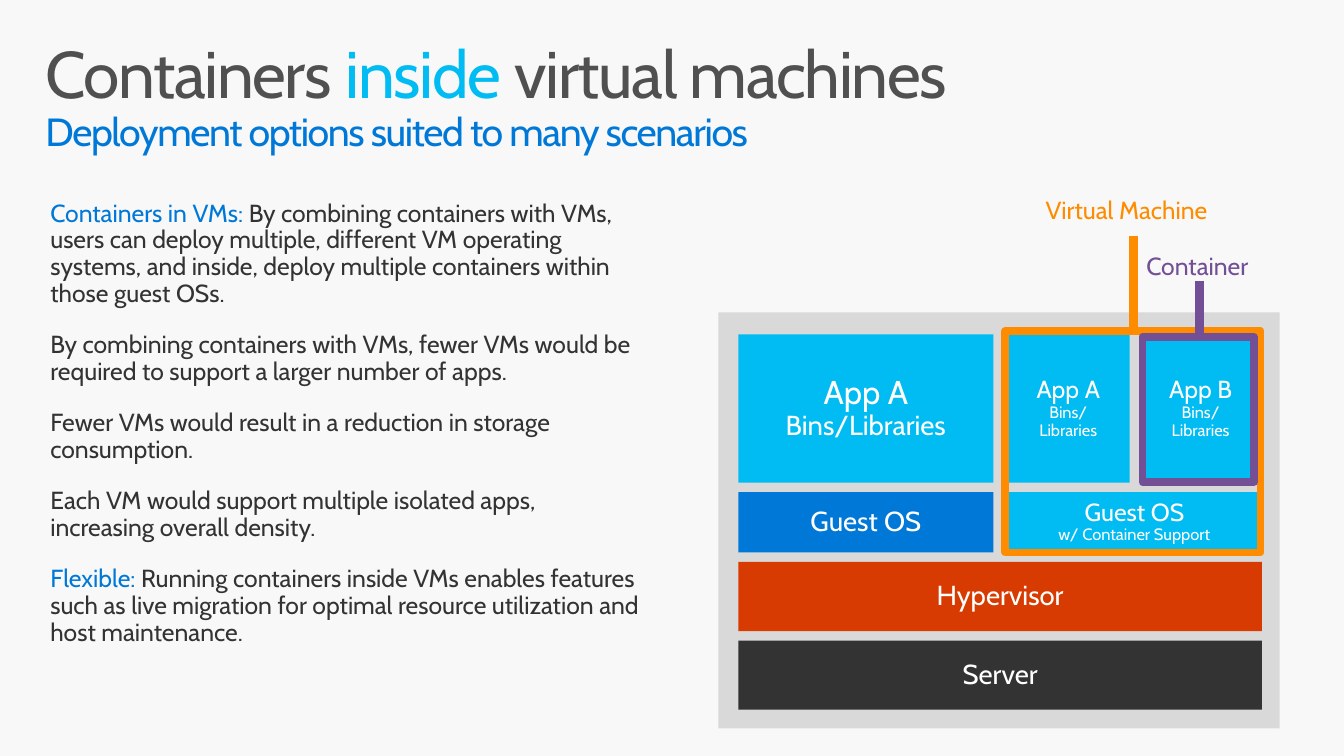
"""Build the slide on running containers inside virtual machines."""
from copy import deepcopy

from lxml.etree import SubElement
from pptx import Presentation
from pptx.dml.color import RGBColor
from pptx.enum.shapes import MSO_CONNECTOR, MSO_SHAPE
from pptx.enum.text import MSO_ANCHOR, MSO_AUTO_SIZE, PP_ALIGN
from pptx.oxml.ns import qn
from pptx.util import Pt

COLORS = {
    "page": "F8F8F8", "panel": "D9D9D9", "title": "505050", "body": "333333",
    "white": "FFFFFF", "cyan": "00BCF2", "blue": "0078D7", "red": "D83B01",
    "orange": "FF8C00", "purple": "734F96",
}
FONT = "Cabin"

TITLE = [
    ("Containers ", 48, "title"), ("inside", 48, "cyan"),
    (" virtual machines\n", 48, "title"),
    ("Deployment options suited to many scenarios", 28.6, "blue"),
]
BODY = [
    ("Containers in VMs: ",
     "By combining containers with VMs, users can deploy multiple, different VM "
     "operating systems, and inside, deploy multiple containers within those guest OSs."),
    ("", "By combining containers with VMs, fewer VMs would be required to support "
         "a larger number of apps."),
    ("", "Fewer VMs would result in a reduction in storage consumption."),
    ("", "Each VM would support multiple isolated apps, increasing overall density."),
    ("Flexible: ",
     "Running containers inside VMs enables features such as live migration for "
     "optimal resource utilization and host maintenance."),
]
STACK = [
    (108, [("left", "cyan", [("App A\n", 24), ("Bins/Libraries", 20)]),
           ("right first", "cyan", [("App A\n", 18), ("Bins/\nLibraries", 12)]),
           ("right second", "cyan", [("App B\n", 18), ("Bins/\nLibraries", 12)])]),
    (44, [("left", "blue", [("Guest OS", 20)]),
          ("right", "cyan", [("Guest OS\n", 18), ("w/ Container Support", 12)])]),
    (50.4, [("full", "red", [("Hypervisor", 20)])]),
    (50.4, [("full", "body", [("Server", 20)])]),
]
CALLOUTS = [
    ("Virtual Machine", "orange", (732.2, 241.2, 186.5, 161.3),
     (761.8, 144.7, 127.4, 20.2), (825.8, 172.1, 241.2)),
    ("Container", "purple", (832.3, 245.5, 81.4, 105.8),
     (835.2, 185, 77.8, 19.4), (874.1, 204.5, 244.8)),
]
PANEL = (523.4, 227.5, 409, 303.1)
STACK_LEFT, STACK_TOP, STACK_WIDTH = 538, 243.6, 381.4
ROW_GAP, COLUMN_GAP, HALF_GAP = 6.9, 10, 7.1
FRAME_WEIGHT, POINTER_WEIGHT = 5.25, 6.25


def color(name):
    return RGBColor.from_string(COLORS[name])


def assign(target, **values):
    for key, value in values.items():
        setattr(target, key, value)


def write(paragraph, runs, spacing=None, **layout):
    assign(paragraph, line_spacing=0.9, **layout)
    for text, size, ink in runs:
        for index, line in enumerate(text.split("\n")):
            if index:
                paragraph.add_line_break()
                paragraph._p[-1].append(deepcopy(paragraph.runs[-1]._r.rPr))
            if line:
                run = paragraph.add_run()
                run.text = line
                assign(run.font, name=FONT, size=Pt(size))
                run.font.color.rgb = color(ink)
                if spacing is not None:
                    run._r.get_or_add_rPr().set("spc", str(spacing))


def set_frame(shape, insets, **values):
    frame = shape.text_frame
    sides = ("margin_left", "margin_top", "margin_right", "margin_bottom")
    assign(frame, **dict(zip(sides, map(Pt, insets))), **values)
    return frame


def add_text(slide, box, insets, **values):
    return set_frame(slide.shapes.add_textbox(*map(Pt, box)), insets, **values)


def add_box(slide, box, fill=None, outline=None):
    shape = slide.shapes.add_shape(MSO_SHAPE.RECTANGLE, *map(Pt, box))
    shape.shadow.inherit = False
    if fill:
        shape.fill.solid()
        shape.fill.fore_color.rgb = color(fill)
    else:
        shape.fill.background()
    if outline:
        shape.line.color.rgb = color(outline)
        shape.line.width = Pt(FRAME_WEIGHT)
    else:
        shape.line.fill.background()
    return shape


def add_pointer(slide, x, top, bottom, ink):
    pointer = slide.shapes.add_connector(
        MSO_CONNECTOR.STRAIGHT, Pt(x), Pt(top), Pt(x), Pt(bottom))
    pointer.line.color.rgb = color(ink)
    pointer.line.width = Pt(POINTER_WEIGHT)
    SubElement(pointer._element.spPr, qn("a:effectLst"))


def add_stack(slide):
    column = (STACK_WIDTH - COLUMN_GAP) / 2
    half = (column - HALF_GAP) / 2
    right = STACK_LEFT + column + COLUMN_GAP
    spans = {
        "full": (STACK_LEFT, STACK_WIDTH),
        "left": (STACK_LEFT, column),
        "right": (right, column),
        "right first": (right, half),
        "right second": (right + half + HALF_GAP, half),
    }
    top = STACK_TOP
    for height, layers in STACK:
        for span, fill, lines in layers:
            left, width = spans[span]
            layer = add_box(slide, (left, top, width, height), fill)
            frame = set_frame(layer, (14.4, 11.5, 14.4, 11.5), word_wrap=True,
                              vertical_anchor=MSO_ANCHOR.MIDDLE)
            write(frame.paragraphs[0], [(text, size, "white") for text, size in lines],
                  alignment=PP_ALIGN.CENTER)
        top += height + ROW_GAP


def main():
    deck = Presentation()
    assign(deck, slide_width=Pt(979.2), slide_height=Pt(550.8))
    slide = deck.slides.add_slide(deck.slide_layouts[6])
    slide.background.fill.solid()
    slide.background.fill.fore_color.rgb = color("page")

    title = add_text(slide, (21.6, 23, 936, 72), (11.5, 7.2, 11.5, 7.2), word_wrap=True)
    write(title.paragraphs[0], TITLE, spacing=-100)

    body = add_text(slide, (22.3, 131.8, 457.9, 398.2), (14.4, 14.4, 14.4, 7.2),
                    word_wrap=True)
    for index, (lead, text) in enumerate(BODY):
        paragraph = body.add_paragraph() if index else body.paragraphs[0]
        write(paragraph, [(lead, 18, "blue"), (text, 18, "body")],
              space_before=Pt(6 if index else 0), space_after=Pt(12))

    add_box(slide, PANEL, "panel")
    add_stack(slide)
    for name, ink, outline, label, pointer in CALLOUTS:
        add_box(slide, outline, outline=ink)
        caption = add_text(slide, label, (0, 0, 0, 0), word_wrap=False,
                           auto_size=MSO_AUTO_SIZE.SHAPE_TO_FIT_TEXT)
        write(caption.paragraphs[0], [(name, 18, ink)], space_after=Pt(6))
        add_pointer(slide, *pointer, ink)
    deck.save("out.pptx")


if __name__ == "__main__":
    main()
